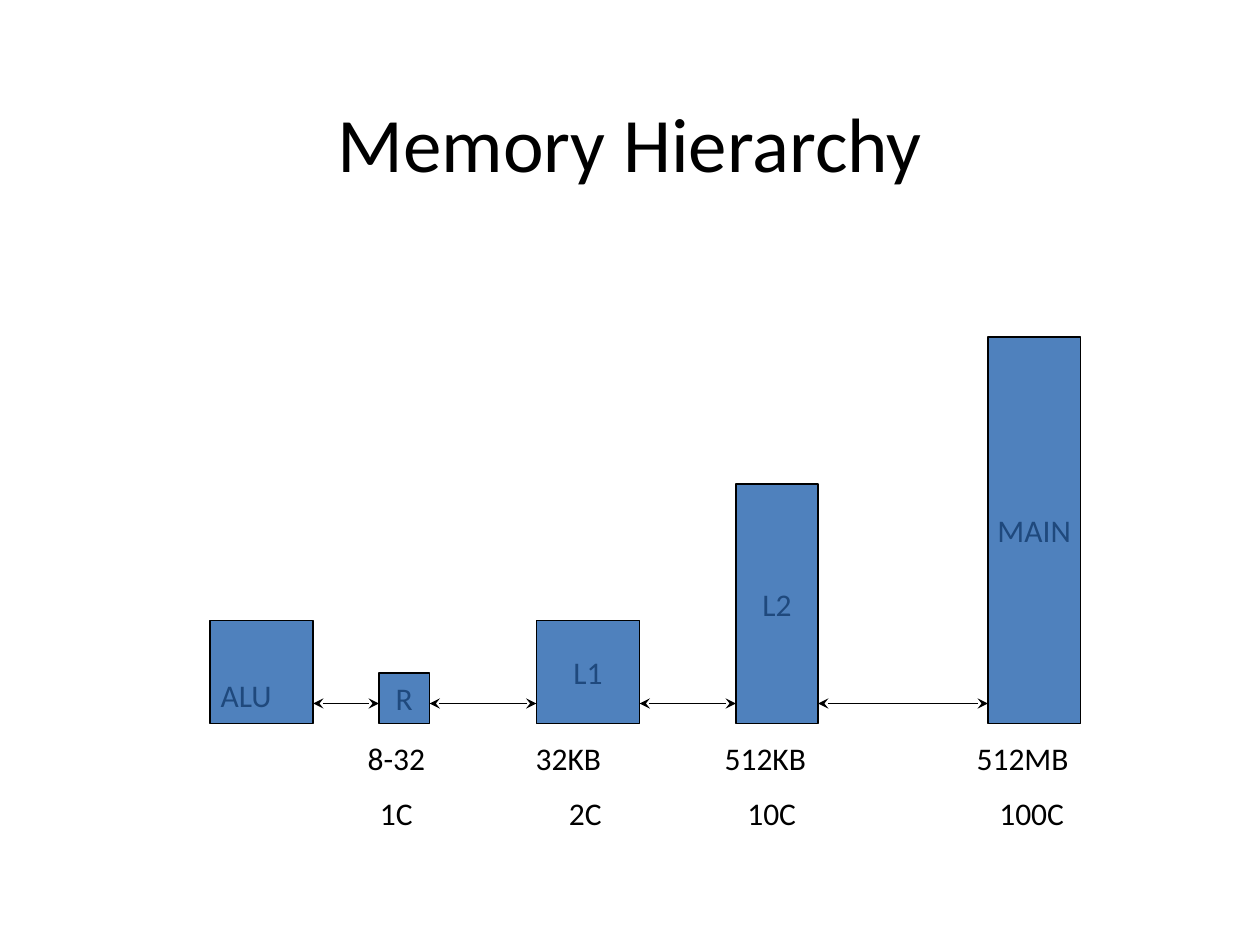
"""Builds the memory hierarchy slide."""
from dataclasses import dataclass
from itertools import pairwise

from lxml import etree
from pptx import Presentation
from pptx.dml.color import RGBColor
from pptx.enum import shapes, text
from pptx.oxml import ns
from pptx.util import Pt

BLACK = RGBColor(0x00, 0x00, 0x00)
BLUE = RGBColor(0x4F, 0x81, 0xBD)
NAVY = RGBColor(0x1F, 0x49, 0x7D)

BLOCKS_HEIGHT = 221
ARROW_RISE = 11.5
CAPACITY_DROP = 5.5
LATENCY_DROP = 36.5
LABEL_HEIGHT = 36


@dataclass
class Level:
    """One memory level, with offsets measured from the diagram's left edge."""
    name: str
    left: float
    width: float
    height: float
    capacity: str = ""
    capacity_left: float = 0
    latency: str = ""
    latency_left: float = 0


LEVELS = [
    Level("ALU", 0, 59, 59),
    Level("R", 96.5, 29, 29, "8-32", 83, "1C", 90),
    Level("L1", 186.5, 59, 59, "32KB", 179, "2C", 198),
    Level("L2", 300.5, 47, 137, "512KB", 287, "10C", 300),
    Level("MAIN", 444.5, 53, 221, "512MB", 431, "100C", 444),
]


def write(shape, words, size=18, color=BLACK, align=text.PP_ALIGN.LEFT,
          anchor=text.MSO_ANCHOR.TOP, wrap=True):
    """Put formatted words into a shape."""
    frame = shape.text_frame
    frame.word_wrap = wrap
    frame.vertical_anchor = anchor
    paragraph = frame.paragraphs[0]
    paragraph.alignment = align
    run = paragraph.add_run()
    run.text = words
    run.font.name = "Calibri"
    run.font.size = Pt(size)
    run.font.color.rgb = color


def add_label(slide, words, left, top, width=90, height=LABEL_HEIGHT, **style):
    """Add a text box holding the words."""
    label = slide.shapes.add_textbox(Pt(left), Pt(top), Pt(width), Pt(height))
    write(label, words, **style)


def add_block(slide, left, top, width, height):
    """Add one outlined blue block."""
    block = slide.shapes.add_shape(shapes.MSO_SHAPE.RECTANGLE,
                                   Pt(left), Pt(top), Pt(width), Pt(height))
    block.shadow.inherit = False
    block.fill.solid()
    block.fill.fore_color.rgb = BLUE
    block.line.color.rgb = BLACK
    block.line.width = Pt(1)
    return block


def add_bus(slide, start, end, y):
    """Add a horizontal arrow with a head at both ends."""
    bus = slide.shapes.add_connector(shapes.MSO_CONNECTOR.STRAIGHT,
                                     Pt(start), Pt(y), Pt(end), Pt(y))
    bus.line.color.rgb = BLACK
    bus.line.width = Pt(1)
    outline = bus.line._get_or_add_ln()
    for tip in ("a:headEnd", "a:tailEnd"):
        etree.SubElement(outline, ns.qn(tip), type="stealth")
    etree.SubElement(bus._element.spPr, ns.qn("a:effectLst"))


def add_title(slide, left, top, width, height):
    """Add the centred slide title."""
    add_label(slide, "Memory Hierarchy", left, top, width, height, size=44,
              align=text.PP_ALIGN.CENTER, anchor=text.MSO_ANCHOR.MIDDLE)


def add_hierarchy(slide, left, top):
    """Add the blocks, the buses between them and the labels below."""
    base = top + BLOCKS_HEIGHT
    for level in LEVELS:
        block = add_block(slide, left + level.left, base - level.height,
                          level.width, level.height)
        if level.capacity:
            write(block, level.name, color=NAVY, wrap=False,
                  align=text.PP_ALIGN.CENTER, anchor=text.MSO_ANCHOR.MIDDLE)
        else:
            add_label(slide, level.name, left + level.left - 1, base - 30.5,
                      width=61, color=NAVY)
    for near, far in pairwise(LEVELS):
        add_bus(slide, left + near.left + near.width, left + far.left,
                base - ARROW_RISE)
    for level in LEVELS[1:]:
        add_label(slide, level.capacity, left + level.capacity_left,
                  base + CAPACITY_DROP)
        add_label(slide, level.latency, left + level.latency_left,
                  base + LATENCY_DROP, width=72)


def main():
    """Build and save the presentation."""
    deck = Presentation()
    deck.slide_width, deck.slide_height = Pt(720), Pt(540)
    slide = deck.slides.add_slide(deck.slide_layouts[6])
    add_title(slide, 54, 36, 612, 90)
    add_hierarchy(slide, 120, 192.5)
    deck.save("out.pptx")


main()
